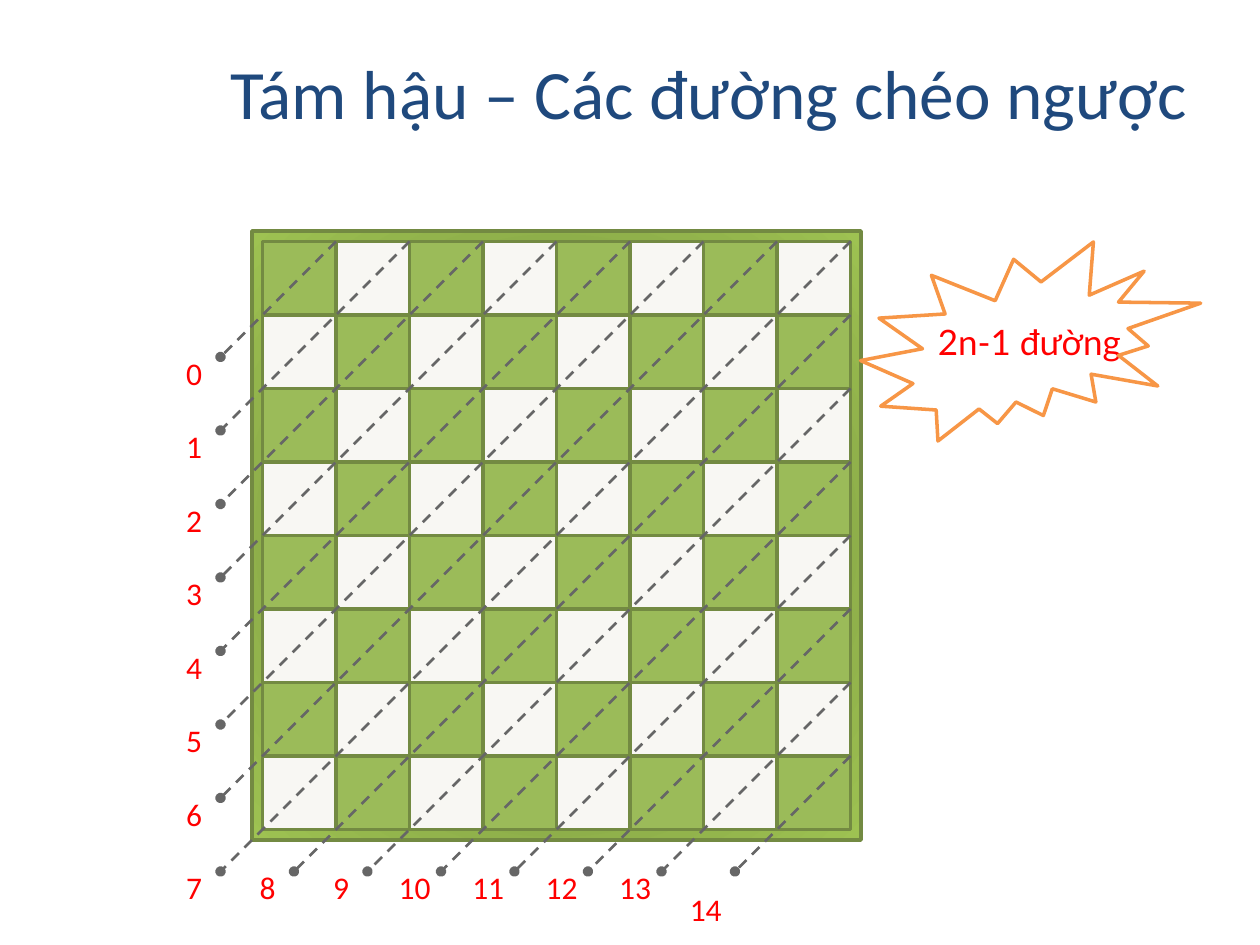
"""Builds the chessboard slide with the fifteen numbered anti-diagonals of the eight queens problem."""
from lxml.etree import SubElement
from pptx import Presentation
from pptx.dml.color import RGBColor
from pptx.enum.dml import MSO_LINE_DASH_STYLE as DASH
from pptx.enum.shapes import MSO_CONNECTOR as CONNECTOR, MSO_SHAPE as SHAPE
from pptx.enum.text import MSO_ANCHOR as ANCHOR, PP_ALIGN as ALIGN
from pptx.oxml import parse_xml
from pptx.oxml.ns import nsdecls, qn
from pptx.util import Inches, Pt

COLOURS = {
    "title": "1F497D", "label": "FF0000", "dark": "9BBB59", "light": "F8F7F3",
    "edge": "738A42", "diagonal": "666666", "burst": "F79646",
    "frame_inner": "5D7330", "frame_middle": "85A445", "frame_outer": "9EC252",
}
SIZE = 8
CELL = 7 / 12
LEFT, TOP = 25 / 12, 23 / 12
MARGIN = 1 / 12


def add_box(shapes, kind, left, top, width, height, fill=None, line=None):
    shape = shapes.add_shape(kind, Inches(left), Inches(top), Inches(width), Inches(height))
    shape.shadow.inherit = False
    if fill:
        shape.fill.solid()
        shape.fill.fore_color.rgb = RGBColor.from_string(COLOURS[fill])
    else:
        shape.fill.background()
    if line:
        shape.line.color.rgb = RGBColor.from_string(COLOURS[line])
        shape.line.width = Pt(2)
    else:
        shape.line.fill.background()
    return shape


def write(shape, text, size, colour, font="Calibri", wrap=True):
    frame = shape.text_frame
    layout = {"word_wrap": wrap, "vertical_anchor": ANCHOR.MIDDLE, "margin_left": 0,
              "margin_right": 0, "margin_top": 0, "margin_bottom": 0}
    for name, value in layout.items():
        setattr(frame, name, value)
    paragraph = frame.paragraphs[0]
    paragraph.alignment = ALIGN.CENTER
    run = paragraph.add_run()
    run.text = text
    for name, value in {"name": font, "size": Pt(size)}.items():
        setattr(run.font, name, value)
    run.font.color.rgb = RGBColor.from_string(COLOURS[colour])


presentation = Presentation()
presentation.slide_width, presentation.slide_height = Inches(10), Inches(7.5)
slide = presentation.slides.add_slide(presentation.slide_layouts[6])

title = slide.shapes.add_textbox(Inches(1.25), Inches(0.42), Inches(8.75), Inches(0.62))
write(title, "Tám hậu – Các đường chéo ngược", 39.6, "title")

board = slide.shapes.add_group_shape()
frame_side = SIZE * CELL + 2 * MARGIN
board_frame = add_box(board.shapes, SHAPE.RECTANGLE, LEFT - MARGIN, TOP - MARGIN,
                      frame_side, frame_side, "dark", "edge")
stops = "".join(
    f'<a:gs pos="{position}"><a:srgbClr val="{COLOURS[name]}"/></a:gs>'
    for position, name in ((0, "frame_inner"), (50000, "frame_middle"), (100000, "frame_outer")))
gradient = parse_xml(
    f'<a:gradFill {nsdecls("a")} rotWithShape="1"><a:gsLst>{stops}</a:gsLst>'
    '<a:path path="circle"><a:fillToRect l="50000" t="50000" r="50000" b="50000"/></a:path>'
    '</a:gradFill>')
frame_properties = board_frame._element.spPr
frame_properties.replace(frame_properties.find(qn("a:solidFill")), gradient)

for row in range(SIZE):
    for column in range(SIZE):
        add_box(board.shapes, SHAPE.RECTANGLE, LEFT + column * CELL, TOP + row * CELL,
                CELL, CELL, "light" if (row + column) % 2 else "dark", "edge")

for number in range(2 * SIZE - 1):
    down = min(number, SIZE - 1)
    across = number - down
    end_x = LEFT - 1 / 3 + across * CELL
    end_y = TOP + 11 / 12 + down * CELL
    diagonal = slide.shapes.add_connector(
        CONNECTOR.STRAIGHT, Inches(LEFT + (down + 1) * CELL), Inches(TOP + across * CELL),
        Inches(end_x), Inches(end_y))
    diagonal.line.color.rgb = RGBColor.from_string(COLOURS["diagonal"])
    for name, value in {"width": Pt(1.5), "dash_style": DASH.DASH}.items():
        setattr(diagonal.line, name, value)
    SubElement(diagonal.line._get_or_add_ln(), qn("a:tailEnd"), type="oval")
    SubElement(diagonal._element.spPr, qn("a:effectLst"))

    is_last = number == 2 * SIZE - 2
    label_left, label_top = (5.31, 6.92) if is_last else (end_x - 0.5, end_y - 1 / 6)
    label = slide.shapes.add_textbox(Inches(label_left), Inches(label_top),
                                     Inches(CELL), Inches(CELL))
    write(label, str(number), 18, "label")

callout = slide.shapes.add_group_shape()
caption = add_box(callout.shapes, SHAPE.ROUNDED_RECTANGLE, 7.42, 2.25, 1.5, 0.92)
caption.adjustments[0] = 0
write(caption, "2n-1 đường", 20, "label", font="Lato", wrap=False)
add_box(callout.shapes, SHAPE.EXPLOSION2, 6.83, 1.92, 2.7, 1.58, line="burst")

presentation.save("out.pptx")
